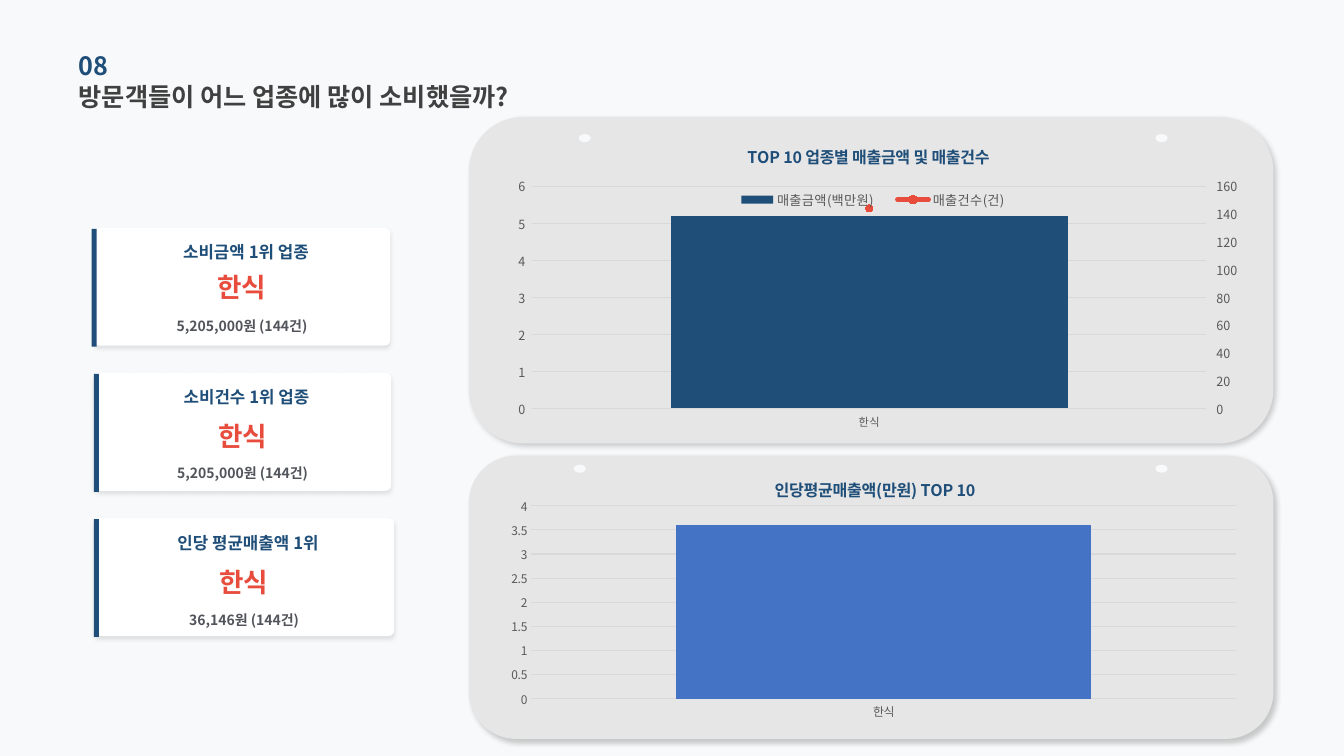
from lxml.etree import SubElement
from pptx import Presentation
from pptx.chart.data import CategoryChartData
from pptx.dml.color import RGBColor
from pptx.enum.chart import XL_CHART_TYPE, XL_LEGEND_POSITION, XL_TICK_MARK
from pptx.enum.shapes import MSO_SHAPE
from pptx.enum.text import MSO_ANCHOR, PP_ALIGN
from pptx.oxml import parse_xml
from pptx.oxml.ns import nsdecls, qn
from pptx.util import Inches, Pt

FONT = "Noto Sans CJK KR"
COLORS = {
    "background": "F8F9FA", "panel": "E7E6E6", "card": "FFFFFF",
    "navy": "1F4E79", "red": "E74C3C", "blue": "4472C4",
    "heading": "404040", "detail": "51545A", "axis": "595959", "grid": "D9D9D9",
}


def rgb(name):
    """Return the named colour."""
    return RGBColor.from_string(COLORS[name])


def style_font(font, size, color, bold=False):
    """Apply the slide's typeface with a size, colour and weight."""
    font.name, font.size, font.bold = FONT, Pt(size), bold
    font.color.rgb = rgb(color)


def set_east_asian(element):
    """Use each Latin typeface for Korean text as well."""
    for latin in list(element.iter(qn("a:latin"))):
        latin.addnext(parse_xml(f'<a:ea {nsdecls("a")} typeface="{latin.get("typeface")}"/>'))


def add_block(shapes, kind, box, color, shadow=None):
    """Draw a filled shape, optionally with (alpha, blur, distance, angle) shadow."""
    block = shapes.add_shape(kind, *map(Inches, box))
    block.shadow.inherit = False
    block.fill.solid()
    block.fill.fore_color.rgb = rgb(color)
    block.line.fill.background()
    if shadow:
        alpha, blur, distance, angle = shadow
        effects = block._element.spPr.find(qn("a:effectLst"))
        outer = SubElement(effects, qn("a:outerShdw"), blurRad=str(Pt(blur)),
                           dist=str(Pt(distance)), dir=str(angle * 60000),
                           algn="tl", rotWithShape="0")
        black = SubElement(outer, qn("a:srgbClr"), val="000000")
        SubElement(black, qn("a:alpha"), val=str(alpha * 1000))
    return block


def add_label(shapes, box, text, size, color, align=PP_ALIGN.LEFT):
    """Place one bold line of text in a box without margins."""
    label = shapes.add_textbox(*map(Inches, box))
    frame = label.text_frame
    frame.word_wrap = True
    frame.vertical_anchor = MSO_ANCHOR.MIDDLE
    frame.margin_left = frame.margin_right = frame.margin_top = frame.margin_bottom = 0
    paragraph = frame.paragraphs[0]
    paragraph.text, paragraph.alignment = text, align
    style_font(paragraph.font, size, color, True)
    set_east_asian(label._element)


def add_header(slide, left, top, width):
    """Place the section number above the slide's question."""
    add_label(slide.shapes, (left, top + 0.31, width, 0.41),
              "방문객들이 어느 업종에 많이 소비했을까?", 18, "heading")
    add_label(slide.shapes, (left, top, width, 0.41), "08", 18, "navy")


def add_card(slide, box, heading, detail, value_drop, detail_drop, bar_left):
    """Place a ranking card with its accent bar."""
    left, top, width, height = box
    parts = slide.shapes.add_group_shape().shapes
    card = add_block(parts, MSO_SHAPE.ROUNDED_RECTANGLE, box, "card", (10, 3, 2, 90))
    card.adjustments[0] = 0.048
    lines = ((heading, 0.04, 0.13, 0.22, 12, "navy"),
             ("한식", 0, value_drop, 0.34, 19, "red"),
             (detail, 0, detail_drop, 0.17, 10, "detail"))
    for text, shift, drop, line_height, size, color in lines:
        add_label(parts, (left + shift, top + drop, width, line_height),
                  text, size, color, PP_ALIGN.CENTER)
    add_block(slide.shapes, MSO_SHAPE.RECTANGLE, (bar_left, top + 0.01, 0.05, height), "navy")


def add_panel(slide, box):
    """Draw the rounded backdrop of a chart."""
    add_block(slide.shapes, MSO_SHAPE.ROUNDED_RECTANGLE, box, "panel", (20, 4, 3, 45))


def add_pins(slide, lefts, top):
    """Draw the small ovals at the top of a panel."""
    for left in lefts:
        add_block(slide.shapes, MSO_SHAPE.OVAL, (left, top, 0.12, 0.08), "background")


def set_layout(parent, before, x, y, w=None, h=None, inner=False):
    """Give a chart part a manual layout ahead of the named sibling tags."""
    for old in parent.findall(qn("c:layout")):
        parent.remove(old)
    target = '<c:layoutTarget val="inner"/>' if inner else ""
    size = f'<c:w val="{w}"/><c:h val="{h}"/>' if w else ""
    layout = parse_xml(
        f'<c:layout {nsdecls("c")}><c:manualLayout>{target}<c:xMode val="edge"/>'
        f'<c:yMode val="edge"/><c:x val="{x}"/><c:y val="{y}"/>{size}</c:manualLayout></c:layout>')
    next(child for child in parent if child.tag in map(qn, before)).addprevious(layout)


def add_column_chart(slide, box, title, title_at, plot, series, colors, sizes):
    """Place a column chart with the shared title, axis and grid styling."""
    data = CategoryChartData()
    data.categories = ["한식"]
    for name, value in series:
        data.add_series(name, [value])
    chart = slide.shapes.add_chart(
        XL_CHART_TYPE.COLUMN_CLUSTERED, *map(Inches, box), data).chart
    style_font(chart.font, 10, "axis")
    chart.has_legend = False
    chart.has_title = True
    heading = chart.chart_title.text_frame.paragraphs[0]
    heading.text = title
    style_font(heading.font, 11.5, "navy", True)
    set_layout(chart.chart_title._element, ["c:overlay"], *title_at)
    set_layout(chart._chartSpace.chart.plotArea, ["c:barChart"], *plot, inner=True)

    columns = chart.plots[0]
    columns.vary_by_categories = False
    columns.gap_width, columns.overlap = 70, -27
    for item, color in zip(columns.series, colors):
        item.format.fill.solid()
        item.format.fill.fore_color.rgb = rgb(color)
    for axis, size in zip((chart.category_axis, chart.value_axis), sizes):
        axis.major_tick_mark = axis.minor_tick_mark = XL_TICK_MARK.NONE
        style_font(axis.tick_labels.font, size, "axis")
    chart.category_axis.format.line.color.rgb = rgb("grid")
    chart.category_axis.format.line.width = Pt(0.75)
    chart.value_axis.format.line.fill.background()
    grid = chart.value_axis.major_gridlines.format.line
    grid.color.rgb, grid.width = rgb("grid"), Pt(0.75)
    return chart


def move_to_right_axis(chart, color):
    """Turn the last column series into a marked line on a right axis."""
    area = chart._chartSpace.chart.plotArea
    bars = area.find(qn("c:barChart"))
    counts = bars.findall(qn("c:ser"))[-1]
    for tag in ("c:spPr", "c:invertIfNegative"):
        for old in counts.findall(qn(tag)):
            counts.remove(old)
    fill = f'<a:solidFill><a:srgbClr val="{COLORS[color]}"/></a:solidFill>'
    ns = nsdecls("c", "a")
    counts.find(qn("c:tx")).addnext(parse_xml(
        f'<c:spPr {ns}><a:ln w="{Pt(3)}" cap="rnd">{fill}</a:ln></c:spPr>'))
    counts.find(qn("c:spPr")).addnext(parse_xml(
        f'<c:marker {ns}><c:symbol val="circle"/><c:size val="5"/><c:spPr>{fill}'
        f'<a:ln>{fill}</a:ln></c:spPr></c:marker>'))
    SubElement(counts, qn("c:smooth"), val="0")
    line = parse_xml(
        f'<c:lineChart {ns}><c:grouping val="standard"/><c:varyColors val="0"/>'
        '<c:marker val="1"/><c:axId val="5001"/><c:axId val="5002"/></c:lineChart>')
    line.find(qn("c:varyColors")).addnext(counts)
    bars.addnext(line)
    label_style = (
        f'<c:txPr><a:bodyPr/><a:p><a:pPr><a:defRPr sz="900" b="0"><a:solidFill>'
        f'<a:srgbClr val="{COLORS["axis"]}"/></a:solidFill><a:latin typeface="{FONT}"/>'
        '</a:defRPr></a:pPr><a:endParaRPr lang="ko-KR"/></a:p></c:txPr>')
    scaling = '<c:scaling><c:orientation val="minMax"/></c:scaling>'
    last_axis = area.find(qn("c:valAx"))
    last_axis.addnext(parse_xml(
        f'<c:catAx {ns}><c:axId val="5001"/>{scaling}<c:delete val="1"/>'
        '<c:axPos val="b"/><c:crossAx val="5002"/></c:catAx>'))
    last_axis.addnext(parse_xml(
        f'<c:valAx {ns}><c:axId val="5002"/>{scaling}<c:delete val="0"/><c:axPos val="r"/>'
        '<c:numFmt formatCode="#,##0_ " sourceLinked="0"/><c:majorTickMark val="out"/>'
        '<c:minorTickMark val="none"/><c:tickLblPos val="nextTo"/><c:spPr><a:ln><a:noFill/>'
        f'</a:ln></c:spPr>{label_style}<c:crossAx val="5001"/><c:crosses val="max"/></c:valAx>'))


def add_sales_chart(slide, box):
    """Place the sales amount and count chart."""
    chart = add_column_chart(
        slide, box, "TOP 10 업종별 매출금액 및 매출건수", (0.33, 0.05), (0.041, 0.193, 0.918, 0.7),
        [("매출금액(백만원)", 5.2), ("매출건수(건)", 144)], ["navy", "red"], (8, 9))
    labels = chart.value_axis.tick_labels
    labels.number_format, labels.number_format_is_linked = "#,##0_ ", False
    move_to_right_axis(chart, "red")
    chart.has_legend = True
    chart.legend.position = XL_LEGEND_POSITION.TOP
    chart.legend.include_in_layout = False
    style_font(chart.legend.font, 9.5, "axis")
    set_layout(chart.legend._element, ["c:overlay"], 0.3, 0.19, 0.41, 0.09)
    set_east_asian(chart._chartSpace)


def add_average_chart(slide, box):
    """Place the average sales per person chart."""
    chart = add_column_chart(
        slide, box, "인당평균매출액(만원) TOP 10", (0.36, 0.06), (0.039, 0.179, 0.941, 0.717),
        [("Series 1", 3.6)], ["blue"], (8.5, 8.5))
    set_east_asian(chart._chartSpace)


def main():
    """Build and save the slide."""
    deck = Presentation()
    deck.slide_width, deck.slide_height = Inches(13.33), Inches(7.5)
    slide = deck.slides.add_slide(deck.slide_layouts[6])
    slide.background.fill.solid()
    slide.background.fill.fore_color.rgb = rgb("background")
    add_panel(slide, (4.65, 4.52, 7.98, 2.81))
    add_panel(slide, (4.65, 1.16, 7.98, 3.24))
    add_header(slide, 0.78, 0.44, 4.52)
    cards = (("소비금액 1위 업종", "5,205,000원 (144건)", 0.42, 0.89, 0.91),
             ("소비건수 1위 업종", "5,205,000원 (144건)", 0.45, 0.91, 0.93),
             ("인당 평균매출액 1위", "36,146원 (144건)", 0.46, 0.93, 0.93))
    for row, (card, width) in enumerate(zip(cards, (2.94, 2.95, 2.98))):
        add_card(slide, (0.93, 2.26 + 1.44 * row, width, 1.17), *card)
    add_sales_chart(slide, (4.98, 1.24, 7.32, 3.15))
    add_average_chart(slide, (4.98, 4.54, 7.43, 2.67))
    add_pins(slide, (5.74, 11.46), 1.33)
    add_pins(slide, (5.69, 11.46), 4.61)
    deck.save("out.pptx")


if __name__ == "__main__":
    main()
